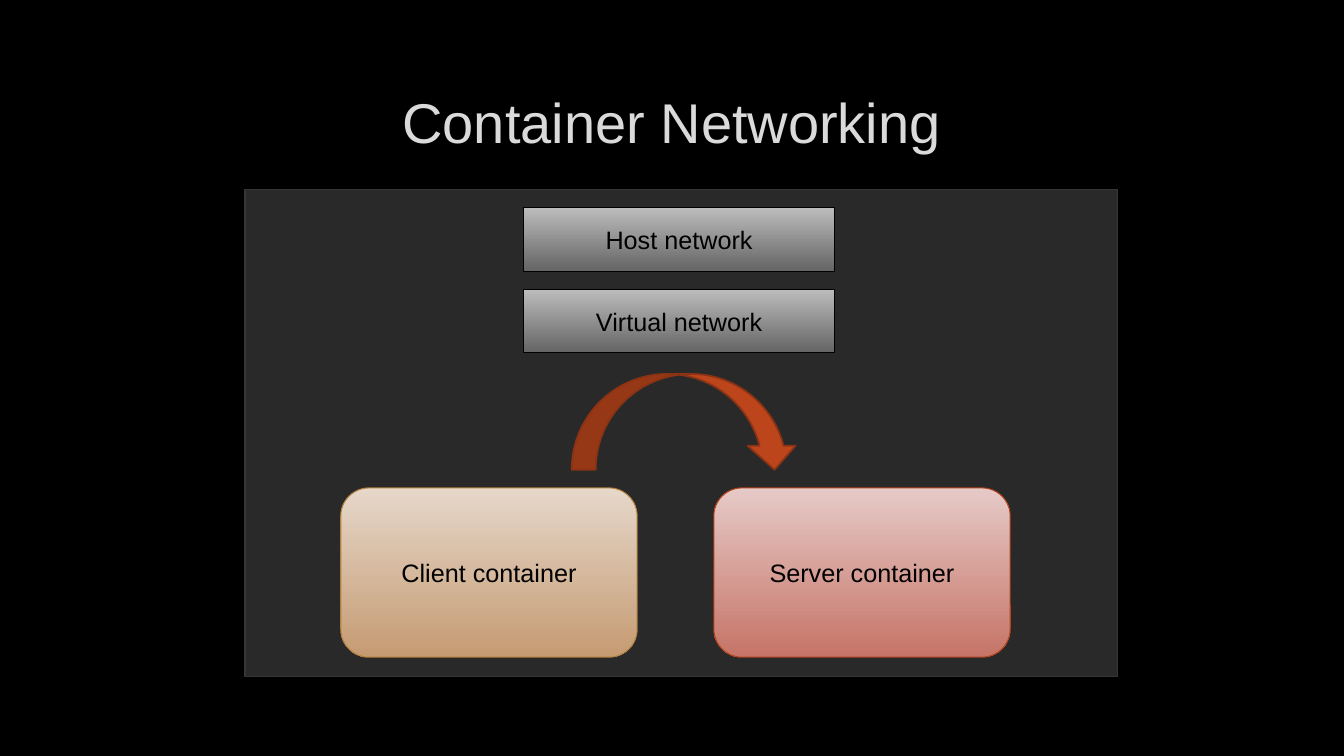
from dataclasses import dataclass

from lxml.etree import SubElement
from pptx import Presentation
from pptx.dml.color import RGBColor
from pptx.enum.shapes import MSO_SHAPE
from pptx.enum.text import MSO_ANCHOR, PP_ALIGN
from pptx.oxml.ns import qn
from pptx.util import Inches, Pt


@dataclass(frozen=True)
class Theme:
    font: str = "Arial"
    title_size: int = 40
    label_size: int = 18
    thin: float = 0.75
    thick: float = 1.25
    back: str = "000000"
    title: str = "DADADA"
    label: str = "000000"
    panel: tuple = ("808080", "36363A")
    arrow: tuple = ("BC451B", "8B3314")
    # Top colour, bottom colour, line
    network: tuple = ("BCBCBC", "656565", "000000")
    client: tuple = ("E6D7CA", "C59B72", "B3803D")
    server: tuple = ("E6CAC7", "C67467", "B4421A")


class Deck:
    def __init__(self, theme):
        self.theme = theme
        self.file = Presentation()
        self.file.slide_width = Inches(13.33)
        self.file.slide_height = Inches(7.5)
        self.slide = self.file.slides.add_slide(self.file.slide_layouts[5])
        fill = self.slide.background.fill
        fill.solid()
        fill.fore_color.rgb = RGBColor.from_string(theme.back)

    def label(self, shape, text, size, color):
        frame = shape.text_frame
        frame.word_wrap = True
        frame.vertical_anchor = MSO_ANCHOR.MIDDLE
        frame.text = text
        para = frame.paragraphs[0]
        para.alignment = PP_ALIGN.CENTER
        para.font.name = self.theme.font
        para.font.size = Pt(size)
        para.font.color.rgb = RGBColor.from_string(color)

    def title(self, text, left, top, width, height):
        shape = self.slide.shapes.title
        shape.left, shape.top = Inches(left), Inches(top)
        shape.width, shape.height = Inches(width), Inches(height)
        self.label(shape, text, self.theme.title_size, self.theme.title)

    def shape(self, kind, box, line, weight):
        shape = self.slide.shapes.add_shape(kind, *map(Inches, box))
        shape.shadow.inherit = False
        shape.line.color.rgb = RGBColor.from_string(line)
        shape.line.width = Pt(weight)
        return shape

    def plain(self, kind, box, colors, weight, alpha=None):
        """Add a shape of one colour, with alpha as a percentage."""
        color, line = colors
        shape = self.shape(kind, box, line, weight)
        shape.fill.solid()
        shape.fill.fore_color.rgb = RGBColor.from_string(color)
        if alpha is not None:
            node = shape.element.spPr.find(qn("a:solidFill"))[0]
            SubElement(node, qn("a:alpha")).set("val", str(alpha * 1000))

    def block(self, kind, text, box, colors):
        """Add a labelled shape shaded from top to bottom."""
        *shades, line = colors
        shape = self.shape(kind, box, line, self.theme.thin)
        shape.fill.gradient()
        shape.fill.gradient_angle = 270
        for spot, (stop, shade) in enumerate(zip(shape.fill.gradient_stops, shades)):
            stop.position = spot
            stop.color.rgb = RGBColor.from_string(shade)
        self.label(shape, text, self.theme.label_size, self.theme.label)


def main():
    theme = Theme()
    deck = Deck(theme)
    deck.plain(MSO_SHAPE.RECTANGLE, (2.43, 1.88, 8.65, 4.83),
               theme.panel, theme.thin, alpha=32)
    deck.title("Container Networking", 1, 0.67, 11.32, 1.06)

    hosts = (("Client container", theme.client), ("Server container", theme.server))
    for col, (text, colors) in enumerate(hosts):
        deck.block(MSO_SHAPE.ROUNDED_RECTANGLE, text,
                   (3.38 + 3.7 * col, 4.84, 2.94, 1.68), colors)

    deck.plain(MSO_SHAPE.CURVED_DOWN_ARROW, (5.67, 3.71, 2.25, 0.95),
               theme.arrow, theme.thick)

    for row, text in enumerate(("Host network", "Virtual network")):
        deck.block(MSO_SHAPE.RECTANGLE, text,
                   (5.19, 2.06 + 0.81 * row, 3.09, 0.63), theme.network)

    deck.file.save("out.pptx")


if __name__ == "__main__":
    main()
